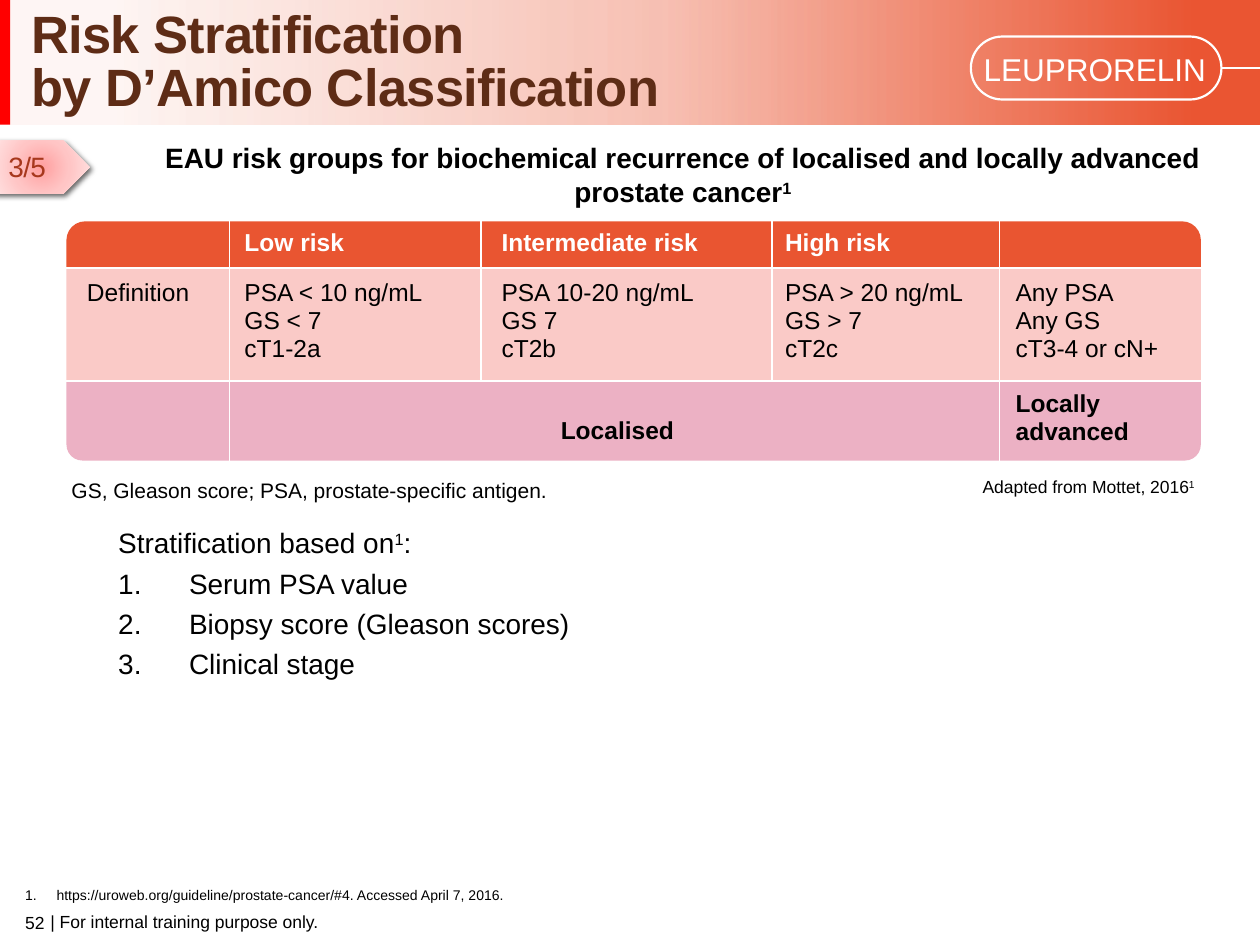
import dataclasses
import itertools

import pptx
import pptx.dml.color
import pptx.enum.shapes
import pptx.enum.text
import pptx.oxml
import pptx.oxml.ns
import pptx.util

Pt = pptx.util.Pt
SHAPE = pptx.enum.shapes.MSO_SHAPE
ALIGN = pptx.enum.text.PP_ALIGN
ANCHOR = pptx.enum.text.MSO_ANCHOR
NAMESPACE = pptx.oxml.ns.nsdecls("a")
NO_STYLE_TABLE = "{2D5ABB26-0587-4C30-8999-92F81FD0307C}"


@dataclasses.dataclass(frozen=True)
class Theme:
    font: str = "Arial"
    white: str = "FFFFFF"
    black: str = "000000"
    red: str = "FF0000"
    banner: str = "EA5532"
    title: str = "5E2C16"
    step: str = "A7381D"
    step_stops: tuple = ((0, "FFA0A0", 100), (50, "FFC5C5", 100), (100, "FFE3E3", 100))
    banner_stops: tuple = ((9, "EA5532", 5), (53, "EA5532", 37), (95, "EA5532", 100))
    header_row: str = "E95531"
    definition_row: str = "FACAC7"
    stage_row: str = "ECB1C4"
    title_size: int = 30
    badge_size: int = 18
    body_size: int = 16
    table_size: int = 14
    note_size: int = 12
    small_size: int = 10
    reference_size: int = 8


THEME = Theme()


def set_values(target, values):
    for name, value in values.items():
        setattr(target, name, value)


def rgb(color):
    return pptx.dml.color.RGBColor.from_string(color)


def xml(text):
    return pptx.oxml.parse_xml(text)


# Text
def write_paragraph(paragraph, text, size, color=THEME.black, bold=False,
                    spacing=None, numbered=None, **layout):
    """Write text; parts between ^ marks are raised, newlines break the line."""
    set_values(paragraph, layout)
    if numbered:
        properties = paragraph._p.get_or_add_pPr()
        properties.set("marL", str(Pt(numbered)))
        properties.set("indent", str(-Pt(numbered)))
        properties.append(xml(f'<a:buAutoNum {NAMESPACE} type="arabicPeriod"/>'))
    for line_number, line in enumerate(text.split("\n")):
        if line_number:
            paragraph.add_line_break()
        for index, piece in enumerate(line.split("^")):
            run = paragraph.add_run()
            run.text = piece
            set_values(run.font, {"name": THEME.font, "size": Pt(size), "bold": bold})
            run.font.color.rgb = rgb(color)
            if index % 2:
                run._r.get_or_add_rPr().set("baseline", "30000")
            if spacing:
                run._r.get_or_add_rPr().set("spc", str(round(spacing * 100)))


def add_text(slide, box, text, size, frame=None, **style):
    shape = slide.shapes.add_textbox(*map(Pt, box))
    set_values(shape.text_frame, {"word_wrap": True, **(frame or {})})
    write_paragraph(shape.text_frame.paragraphs[0], text, size, **style)
    return shape.text_frame


# Shapes and lines
def add_box(shapes, kind, box, fill=None, line=None, adjustment=None, flips=()):
    shape = shapes.add_shape(kind, *map(Pt, box))
    shape.shadow.inherit = False
    if fill:
        shape.fill.solid()
        shape.fill.fore_color.rgb = rgb(fill)
    else:
        shape.fill.background()
    if line:
        shape.line.color.rgb = rgb(line)
        shape.line.width = Pt(1.25)
    else:
        shape.line.fill.background()
    if adjustment is not None:
        shape.adjustments[0] = adjustment
    for flip in flips:
        shape._element.spPr.find(pptx.oxml.ns.qn("a:xfrm")).set(flip, "1")
    return shape


def set_gradient(shape, stops, direction):
    marks = "".join(
        f'<a:gs pos="{position * 1000}"><a:srgbClr val="{color}">'
        f'<a:alpha val="{opacity * 1000}"/></a:srgbClr></a:gs>'
        for position, color, opacity in stops)
    properties = shape._element.spPr
    empty_fill = properties.find(pptx.oxml.ns.qn("a:noFill"))
    properties.replace(empty_fill, xml(
        f'<a:gradFill {NAMESPACE} rotWithShape="1"><a:gsLst>{marks}</a:gsLst>{direction}</a:gradFill>'))


def set_shadow(shape):
    shape._element.spPr.find(pptx.oxml.ns.qn("a:effectLst")).append(xml(
        f'<a:outerShdw {NAMESPACE} blurRad="{Pt(3)}" dist="{Pt(2)}" dir="2700000" algn="tl">'
        '<a:srgbClr val="000000"><a:alpha val="60000"/></a:srgbClr></a:outerShdw>'))


def add_line(shapes, start, end, width):
    line = shapes.add_connector(pptx.enum.shapes.MSO_CONNECTOR.STRAIGHT,
                                *map(Pt, (*start, *end)))
    line.line.color.rgb = rgb(THEME.white)
    line.line.width = Pt(width)
    line._element.spPr.append(xml(f"<a:effectLst {NAMESPACE}/>"))


# Parts of the slide
def add_banner(slide):
    banner = add_box(slide.shapes, SHAPE.RECTANGLE, (-0.7, 0, 720.7, 71.3))
    set_gradient(banner, THEME.banner_stops, '<a:lin ang="0" scaled="0"/>')
    add_box(slide.shapes, SHAPE.RECTANGLE, (-0.7, 0, 6.5, 71.3), THEME.red)
    add_box(slide.shapes, SHAPE.ROUNDED_RECTANGLE, (554.8, 20.9, 143.2, 36),
            line=THEME.white, adjustment=0.5)
    add_line(slide.shapes, (698, 38.9), (720, 38.9), 1.4)
    add_text(slide, (555, 25.2, 146, 29), "LEUPRORELIN", THEME.badge_size, color=THEME.white)
    add_text(slide, (10.8, 20.2, 589, 50.4), "Risk Stratification\nby D’Amico Classification",
             THEME.title_size, {"vertical_anchor": ANCHOR.BOTTOM}, color=THEME.title,
             bold=True, spacing=-0.4, line_spacing=0.85)


def add_step_marker(slide):
    arrow = add_box(slide.shapes, SHAPE.PENTAGON, (-3.6, 80.3, 55, 30.5))
    set_gradient(arrow, THEME.step_stops,
                 '<a:path path="circle"><a:fillToRect l="50000" t="50000" r="50000" b="50000"/></a:path>')
    set_shadow(arrow)
    add_text(slide, (-2.2, 82, 36, 26.6), "3/5", THEME.body_size, {"word_wrap": False},
             color=THEME.step, spacing=-0.4)


def add_table_panel(slide):
    left, *inner, right = columns = (38, 131.2, 274.8, 441.2, 571.2, 686.2)
    top, *dividers, bottom = rows = (126.5, 153.2, 217.8, 263.2)
    row_styles = (
        (THEME.header_row, columns, 0.4, ()),
        (THEME.definition_row, columns, None, ()),
        (THEME.stage_row, (left, inner[0], inner[-1], right), 0.2, ("flipV",)),
    )
    group = slide.shapes.add_group_shape().shapes
    for (start, end), (color, edges, corner, flips) in zip(itertools.pairwise(rows), row_styles):
        for x, next_x in itertools.pairwise(edges):
            box = (x, start, next_x - x, end - start)
            if corner and (x == left or next_x == right):
                mirror = ("flipH",) if x == left else ()
                add_box(group, SHAPE.ROUND_1_RECTANGLE, box, color,
                        adjustment=corner, flips=flips + mirror)
            else:
                add_box(group, SHAPE.RECTANGLE, box, color)
    for x in inner:
        end = bottom + 0.7 if x in (inner[0], inner[-1]) else dividers[-1]
        add_line(group, (x, top - 0.5), (x, end), 1)
    for y in dividers:
        add_line(group, (left - 0.5, y), (right, y), 1)


def add_risk_table(slide):
    content = (
        ("", "Low risk", "Intermediate risk", "High risk", ""),
        ("Definition", "PSA < 10 ng/mL|GS < 7|cT1-2a", "PSA 10-20 ng/mL|GS 7|cT2b",
         "PSA > 20 ng/mL|GS > 7|cT2c", "Any PSA|Any GS|cT3-4 or cN+"),
        ("", "Localised", "", "", "Locally advanced"),
    )
    widths, heights = (90, 146.9, 162, 131.8, 116.6), (28.8, 63.4, 46)
    frame = slide.shapes.add_table(3, 5, *map(Pt, (42.5, 127.4, sum(widths), sum(heights))))
    table = frame.table
    set_values(table, {"first_row": False, "horz_banding": False})
    table._tbl.tblPr.find(pptx.oxml.ns.qn("a:tableStyleId")).text = NO_STYLE_TABLE
    for column, width in zip(table.columns, widths):
        column.width = Pt(width)
    for row, height in zip(table.rows, heights):
        row.height = Pt(height)
    localised = table.cell(2, 1)
    localised.merge(table.cell(2, 3))
    localised.margin_top = Pt(10.8)
    for row_index, texts in enumerate(content):
        style = {"color": THEME.black if row_index else THEME.white, "bold": row_index != 1}
        for column_index, text in enumerate(texts):
            cell = table.cell(row_index, column_index)
            cell.fill.background()
            for index, line in enumerate(text.split("|") if text else ()):
                paragraph = cell.text_frame.add_paragraph() if index else cell.text_frame.paragraphs[0]
                write_paragraph(paragraph, line, THEME.table_size, **style)
    set_values(localised.text_frame.paragraphs[0], {"alignment": ALIGN.CENTER, "line_spacing": 1.5})


def add_notes_and_list(slide):
    add_text(slide, (60.5, 77, 659.5, 26.6),
             "EAU risk groups for biochemical recurrence of localised and locally advanced prostate cancer^1",
             THEME.body_size, bold=True, alignment=ALIGN.CENTER)
    add_text(slide, (33.8, 269.3, 645, 21.6),
             "GS, Gleason score; PSA, prostate-specific antigen.", THEME.note_size)
    add_text(slide, (554.4, 268.6, 151, 19.4), "Adapted from Mottet, 2016^1", THEME.small_size)
    criteria = add_text(slide, (60.5, 297, 581, 90), "Stratification based on^1^:", THEME.body_size)
    for text in ("Serum PSA value", "Biopsy score (Gleason scores)", "Clinical stage"):
        write_paragraph(criteria.add_paragraph(), text, THEME.body_size,
                        numbered=40.5, space_before=Pt(3.8))


def add_footer(slide):
    add_text(slide, (7.2, 502.6, 575, 17.3),
             "https://uroweb.org/guideline/prostate-cancer/#4. Accessed April 7, 2016.",
             THEME.reference_size, {"vertical_anchor": ANCHOR.BOTTOM}, numbered=18)
    bare = {"vertical_anchor": ANCHOR.MIDDLE, "margin_left": 0, "margin_right": 0,
            "margin_top": 0, "margin_bottom": 0}
    add_text(slide, (0, 520, 25.5, 14.4), "52", THEME.small_size, bare, alignment=ALIGN.RIGHT)
    add_text(slide, (28.8, 519.6, 340, 14.4), "| For internal training purpose only.",
             THEME.small_size, bare)


def main():
    presentation = pptx.Presentation()
    set_values(presentation, {"slide_width": Pt(720), "slide_height": Pt(540)})
    slide = presentation.slides.add_slide(presentation.slide_layouts[6])
    add_banner(slide)
    add_step_marker(slide)
    add_table_panel(slide)
    add_risk_table(slide)
    add_notes_and_list(slide)
    add_footer(slide)
    presentation.save("out.pptx")


if __name__ == "__main__":
    main()
